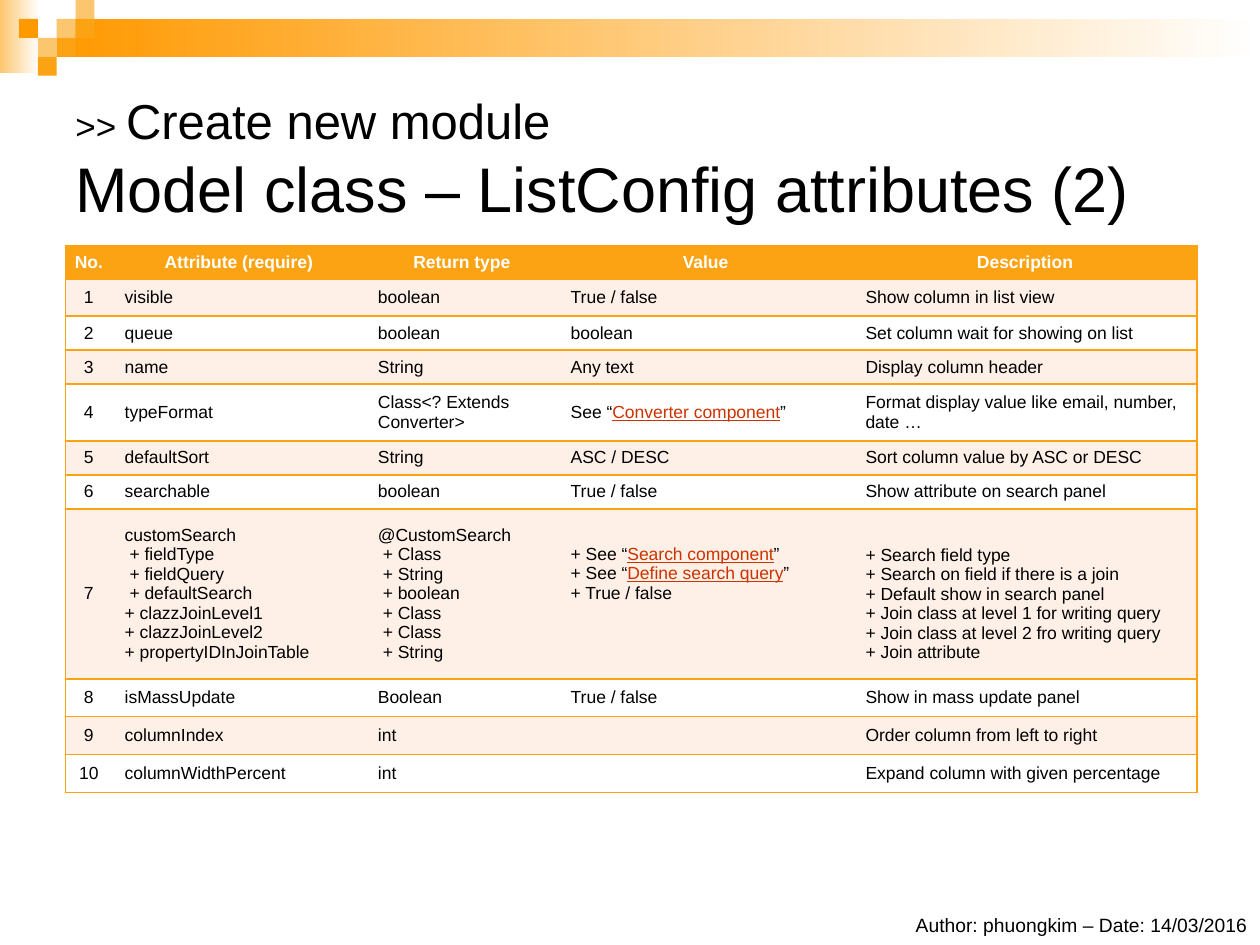
from lxml import etree
from pptx import Presentation
from pptx import util as u
from pptx.dml.color import RGBColor
from pptx.enum import shapes, text
from pptx.oxml.ns import qn

# Content: square brackets mark link text, \n starts a new paragraph
TITLE = [[(">> ", 20), ("Create new module ", 28)],
         [("Model class – ListConfig attributes (2)", 36)]]
FOOTER = "Author: phuongkim – Date: 14/03/2016"
HEADERS = ("No.", "Attribute (require)", "Return type", "Value", "Description")
ATTRIBUTES = [
    ("visible", "boolean", "True / false", "Show column in list view"),
    ("queue", "boolean", "boolean", "Set column wait for showing on list"),
    ("name", "String", "Any text", "Display column header"),
    ("typeFormat", "Class<? Extends Converter>", "See “[Converter component]”",
     "Format display value like email, number, date …"),
    ("defaultSort", "String", "ASC / DESC", "Sort column value by ASC or DESC"),
    ("searchable", "boolean", "True / false", "Show attribute on search panel"),
    ("customSearch\n + fieldType\n + fieldQuery\n + defaultSearch\n"
     "+ clazzJoinLevel1\n+ clazzJoinLevel2\n+ propertyIDInJoinTable",
     "@CustomSearch\n + Class\n + String\n + boolean\n + Class\n + Class\n + String",
     "+ See “[Search component]”\n+ See “[Define search query]”\n+ True / false",
     "+ Search field type\n+ Search on field if there is a join\n"
     "+ Default show in search panel\n+ Join class at level 1 for writing query\n"
     "+ Join class at level 2 fro writing query\n+ Join attribute"),
    ("isMassUpdate", "Boolean", "True / false", "Show in mass update panel"),
    ("columnIndex", "int", "", "Order column from left to right"),
    ("columnWidthPercent", "int", "", "Expand column with given percentage"),
]
COLORS = {"strong": "FF9900", "accent": "FBA313", "light": "FCC66E", "stripe": "FEF0E7",
          "white": "FFFFFF", "black": "000000", "link": "CC3300"}

# Layout, in inches
WIDTH, HEIGHT = 10, 7.5
UNIT = 0.15
SQUARES = [(3, 1, "light"), (4, 0, "light"), (4, 1, "accent"), (2, 2, "light"),
           (1, 1, "strong"), (3, 2, "accent"), (2, 3, "accent")]
COLUMNS = (0.37, 2.01, 1.53, 2.34, 2.73)
ROWS = (0.27, 0.29, 0.27, 0.27, 0.45, 0.27, 0.27, 1.35, 0.3, 0.3, 0.3)
TABLE_LEFT, TABLE_TOP = 0.52, 1.95
PAD, LINE = 0.05, 0.16
# Lines left free above and below the text of a cell
FREE_LINES = {(7, 3): (1, 3), (7, 4): (1, 0)}


def rgb(name):
    return RGBColor.from_string(COLORS[name])


def inches(*lengths):
    return [u.Inches(length) for length in lengths]


def add_run(paragraph, words, size, color="black", bold=False, underline=False):
    run = paragraph.add_run()
    run.text = words
    font = run.font
    font.name, font.size, font.bold = "Arial", u.Pt(size), bold
    font.underline = underline
    font.color.rgb = rgb(color)


def add_block(slide, left, top, width, height, color, fade=False):
    shape = slide.shapes.add_shape(shapes.MSO_SHAPE.RECTANGLE,
                                   *inches(left, top, width, height))
    shape.shadow.inherit = False
    shape.line.fill.background()
    if fade:
        shape.fill.gradient()
        shape.fill.gradient_angle = 0
        for stop, name in zip(shape.fill.gradient_stops, (color, "white")):
            stop.color.rgb = rgb(name)
    else:
        shape.fill.solid()
        shape.fill.fore_color.rgb = rgb(color)


def add_textbox(slide, left, top, width, height, anchor):
    frame = slide.shapes.add_textbox(*inches(left, top, width, height)).text_frame
    frame.word_wrap = True
    frame.vertical_anchor = anchor
    return frame.paragraphs[0]


def set_borders(cell, visible):
    properties = cell._tc.get_or_add_tcPr()
    for position, side in enumerate("LRTB"):
        line = etree.Element(qn(f"a:ln{side}"), w=str(u.Pt(1)))
        if side in visible:
            fill = etree.SubElement(line, qn("a:solidFill"))
            etree.SubElement(fill, qn("a:srgbClr"), val=COLORS["accent"])
        else:
            etree.SubElement(line, qn("a:noFill"))
        properties.insert(position, line)


def fill_cell(cell, words, row, column):
    header = row == 0
    above, below = FREE_LINES.get((row, column), (0, 0))
    cell.margin_left = cell.margin_right = u.Inches(0.1 if column else 0.04)
    cell.margin_top = u.Inches(PAD + above * LINE)
    cell.margin_bottom = u.Inches(PAD + below * LINE)
    cell.vertical_anchor = text.MSO_ANCHOR.MIDDLE
    cell.fill.solid()
    cell.fill.fore_color.rgb = rgb("accent" if header else "stripe" if row % 2 else "white")
    frame = cell.text_frame
    for index, line in enumerate(words.split("\n")):
        paragraph = frame.add_paragraph() if index else frame.paragraphs[0]
        centred = header or column == 0
        paragraph.alignment = text.PP_ALIGN.CENTER if centred else text.PP_ALIGN.LEFT
        paragraph.font.size = u.Pt(10)
        for part, piece in enumerate(line.replace("]", "[").split("[")):
            link = part % 2 == 1
            color = "white" if header else "link" if link else "black"
            if piece:
                add_run(paragraph, piece, 10, color, header, link)
    edges = {0: "L", len(COLUMNS) - 1: "R"}
    set_borders(cell, "TB" + edges.get(column, ""))


def add_attribute_table(slide):
    table = slide.shapes.add_table(
        len(ROWS), len(COLUMNS),
        *inches(TABLE_LEFT, TABLE_TOP, sum(COLUMNS), sum(ROWS))).table
    for column, width in zip(table.columns, COLUMNS):
        column.width = u.Inches(width)
    for row, height in zip(table.rows, ROWS):
        row.height = u.Inches(height)
    records = [HEADERS] + [(str(number), *values)
                           for number, values in enumerate(ATTRIBUTES, 1)]
    for row, record in enumerate(records):
        for column, words in enumerate(record):
            fill_cell(table.cell(row, column), words, row, column)


def main():
    presentation = Presentation()
    presentation.slide_width, presentation.slide_height = inches(WIDTH, HEIGHT)
    slide = presentation.slides.add_slide(presentation.slide_layouts[6])

    # Header band and squares
    add_block(slide, 0, 0, 0.31, 0.58, "light", fade=True)
    add_block(slide, 3 * UNIT, UNIT, WIDTH - 3 * UNIT, 2 * UNIT, "strong", fade=True)
    for column, row, color in SQUARES:
        add_block(slide, column * UNIT, row * UNIT, UNIT, UNIT, color)

    # Title
    paragraph = add_textbox(slide, 0.5, 0.5, WIDTH - 1, 1.5, text.MSO_ANCHOR.MIDDLE)
    for index, line in enumerate(TITLE):
        if index:
            paragraph.add_line_break()
        for words, size in line:
            add_run(paragraph, words, size)

    # Footer
    paragraph = add_textbox(slide, 5.08, 7.2, 4.92, 0.29, text.MSO_ANCHOR.TOP)
    paragraph.alignment = text.PP_ALIGN.RIGHT
    add_run(paragraph, FOOTER, 11)

    add_attribute_table(slide)
    presentation.save("out.pptx")


if __name__ == "__main__":
    main()
